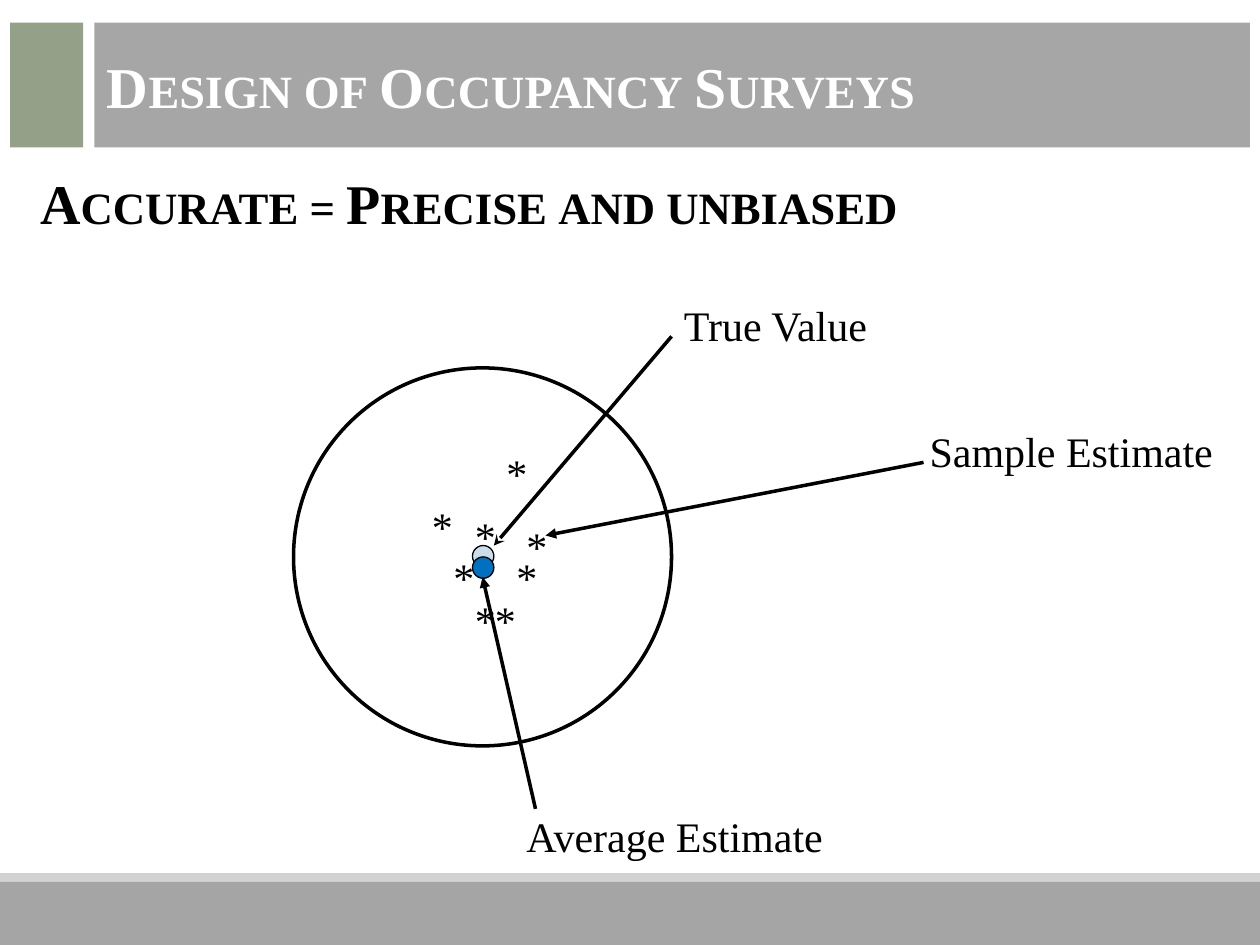
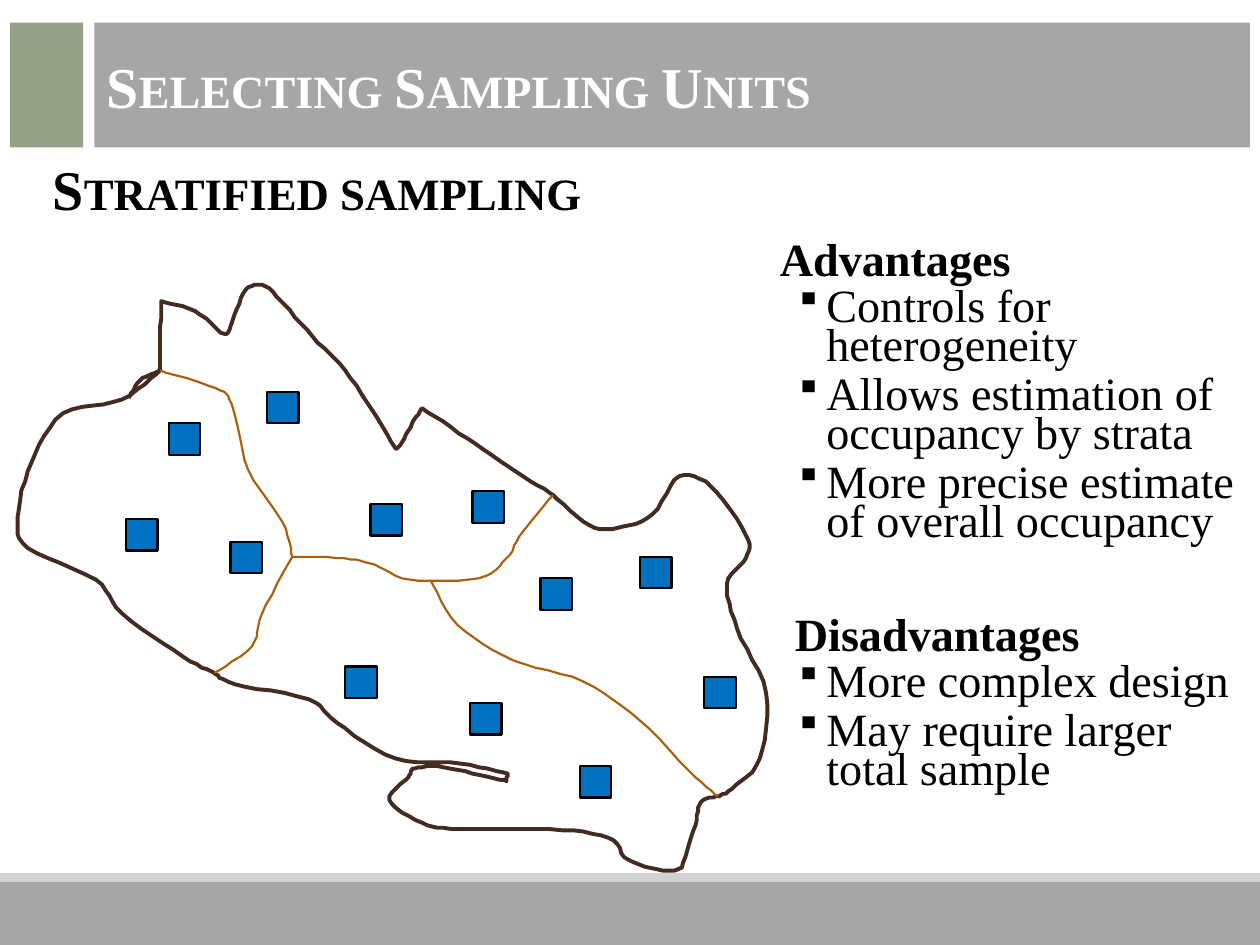
from lxml import etree
from pptx import Presentation
from pptx.dml.color import RGBColor
from pptx.enum.shapes import MSO_CONNECTOR, MSO_SHAPE
from pptx.enum.text import MSO_ANCHOR, PP_ALIGN
from pptx.oxml.ns import qn
from pptx.util import Pt

PX = 9144  # 100 px to the inch
RECT, OVAL = MSO_SHAPE.RECTANGLE, MSO_SHAPE.OVAL
STRAIGHT = MSO_CONNECTOR.STRAIGHT
MIDDLE, LEFT = MSO_ANCHOR.MIDDLE, PP_ALIGN.LEFT
FONT = "Times New Roman"
BLACK, WHITE, BLUE, PALE = "000000", "FFFFFF", "0070C0", "CCDDEA"
GREY, GREEN, BROWN, OCHRE = "A6A6A6", "94A088", "432B20", "A9610D"
DARK, LIGHT = "808080", "BFBFBF"
rgb = RGBColor.from_string


def draw(slide, kind, box, fill=None, line=None, width=1):
    shape = slide.shapes.add_shape(kind, *[n * PX for n in box])
    shape.shadow.inherit = False
    if fill:
        shape.fill.solid()
        shape.fill.fore_color.rgb = rgb(fill)
    else:
        shape.fill.background()
    if line:
        shape.line.color.rgb = rgb(line)
        shape.line.width = Pt(width)
    else:
        shape.line.fill.background()
    return shape


def write(par, words, size, color=BLACK, bold=False, caps=False):
    par.text = words
    par.alignment = LEFT
    font = par.font
    font.name, font.size, font.bold = FONT, Pt(size), bold
    font.color.rgb = rgb(color)
    if caps:
        font._element.set("cap", "small")


prs = Presentation()
prs.slide_width, prs.slide_height = 1000 * PX, 750 * PX

# Bands, title and heading of both slides
heads = [
    ("Design of Occupancy Surveys", "Accurate = Precise and unbiased", (22, 129, 733, 64)),
    ("Selecting Sampling Units", "Stratified sampling", (32, 118, 447, 64)),
]
slides = []
for title, topic, box in heads:
    slide = prs.slides.add_slide(prs.slide_layouts[6])
    for top, high, color in ((700, 50, DARK), (693, 7, LIGHT)):
        foot = draw(slide, RECT, (0, top, 1000, high), color)
        tint = foot.fill._xPr.find(qn("a:solidFill"))[0]
        etree.SubElement(tint, qn("a:alpha")).set("val", "70000")
    bar = draw(slide, RECT, (75, 18, 917, 99), GREY)
    bar.text_frame.vertical_anchor = MIDDLE
    write(bar.text_frame.paragraphs[0], title, 33, WHITE, True, True)
    draw(slide, RECT, (8, 18, 58, 99), GREEN)
    frame = slide.shapes.add_textbox(*[n * PX for n in box]).text_frame
    frame.word_wrap = False
    write(frame.paragraphs[0], topic, 32, BLACK, True, True)
    slides.append(slide)
target, strata = slides

# Slide 1: target with its estimates
draw(target, OVAL, (233, 292, 300, 300), None, BLACK, 2)
draw(target, OVAL, (375, 433, 17, 17), PALE, BLACK, 0.75)

stars = [(408, 408), (392, 350), (350, 433), (333, 392),
         (367, 467), (400, 433), (383, 467), (367, 400)]
notes = [("*", x, y, 37) for x, y in stars] + [
    ("True Value", 533, 233, 233),
    ("Average Estimate", 408, 638, 353),
    ("Sample Estimate", 728, 333, 275),
]
for words, x, y, wide in notes:
    frame = target.shapes.add_textbox(x * PX, y * PX, wide * PX, 50 * PX).text_frame
    frame.word_wrap = True
    write(frame.paragraphs[0], words, 24)

draw(target, OVAL, (375, 442, 17, 17), BLUE, BLACK, 0.75)

arrows = [
    ((533, 267, 392, 433), "stealth"),
    ((425, 642, 383, 458), "triangle"),
    ((733, 367, 433, 425), "triangle"),
]
for ends, tip in arrows:
    arrow = target.shapes.add_connector(STRAIGHT, *[n * PX for n in ends])
    arrow.line.color.rgb = rgb(BLACK)
    arrow.line.width = Pt(2)
    etree.SubElement(arrow.line._get_or_add_ln(), qn("a:tailEnd")).set("type", tip)
    etree.SubElement(arrow._element.spPr, qn("a:effectLst"))

# Slide 2: places where the strata borders meet the coast or each other
west_end, south_end, north_end, east_end = (127, 294), (170, 534), (439, 393), (570, 632)
west_fork, mid_fork = (232, 442), (342, 461)

# Each stretch is a smooth curve from the end of the one before; corners lie between
west_shore = [(97, 317), (50, 328), (25, 367), (14, 410), (22, 435), (76, 460),
              (97, 487), (145, 521), south_end]
south_shore = [(186, 543), (245, 555), (268, 574), (314, 602), (365, 606), (403, 614)]
spit_tip = [(402, 620)]
spit_side = [(380, 615), (347, 608), (327, 610)]
south_bay = [(324, 617), (309, 635), (335, 653), (365, 658), (436, 658), (483, 665),
             (498, 682), (526, 691), (541, 689)]
south_cape = [(552, 655), (556, 637), east_end]
east_shore = [(581, 626), (603, 602), (608, 550), (585, 499), (577, 463), (592, 443),
              (592, 425), (564, 386), (539, 378), (518, 408), (490, 419), (468, 417),
              north_end]
north_shore = [(409, 374), (371, 348), (335, 324)]
notch = [(327, 336), (318, 353), (314, 356)]
north_cape = [(299, 331), (274, 294), (248, 267), (222, 238), (210, 227), (195, 230),
              (185, 253), (178, 265), (155, 247), (128, 239)]
north_wall = [(127, 270), west_end]
loose_end = [(111, 302), (102, 316)]
coast = [west_shore, south_shore, spit_tip, spit_side, south_bay, south_cape,
         east_shore, north_shore, notch, north_cape, north_wall, loose_end]

upper_west = [(171, 308), (184, 321), (197, 373), (224, 414), west_fork]
lower_west = [(208, 487), (200, 513), south_end]
north_rim = [(273, 443), (297, 448), (325, 460), (380, 459), (402, 443), (415, 422),
             north_end]
east_rim = [(363, 496), (407, 524), (463, 541), (508, 572), (552, 617), east_end]

STEPS = 6
borders = [
    (west_end, coast, BROWN, 2.25),
    (west_end, [upper_west, lower_west], OCHRE, 1.25),
    (west_fork, [north_rim], OCHRE, 1.25),
    (mid_fork, [east_rim], OCHRE, 1.25),
]
for start, parts, color, width in borders:
    curve = [start]
    for part in parts:
        knots = [curve[-1], curve[-1], *part, part[-1]]
        # Catmull-Rom spline: the bend from b to c leans on the neighbours a and d
        for quad in zip(knots, knots[1:], knots[2:], knots[3:]):
            for step in range(1, STEPS + 1):
                t = step / STEPS
                curve.append(tuple(
                    round(b + t / 2 * (c - a + t * (2 * a - 5 * b + 4 * c - d
                                                    + t * (3 * b - a - 3 * c + d))))
                    for a, b, c, d in zip(*quad)))
    pen = strata.shapes.build_freeform(*start, scale=PX)
    pen.add_line_segments(curve[1:], close=False)
    border = pen.convert_to_shape()
    border.shadow.inherit = False
    border.fill.background()
    border.line.color.rgb = rgb(color)
    border.line.width = Pt(width)

# Three sampling units in each stratum
units = {
    "west": [(100, 412), (134, 336), (183, 430)],
    "north": [(212, 311), (294, 400), (375, 390)],
    "south": [(274, 529), (373, 558), (460, 608)],
    "east": [(429, 459), (508, 442), (559, 537)],
}
for spots in units.values():
    for x, y in spots:
        draw(strata, RECT, (x, y, 25, 25), BLUE, BLACK, 1.25)

# Pros and cons
frame = strata.shapes.add_textbox(609 * PX, 190 * PX, 392 * PX, 480 * PX).text_frame
frame.word_wrap = True
lists = [
    ("Advantages", 0, 12, ["Controls for heterogeneity",
                           "Allows estimation of occupancy by strata",
                           "More precise estimate of overall occupancy"]),
    ("Disadvantages", 12, 39, ["More complex design",
                               "May require larger total sample"]),
]
par = frame.paragraphs[0]
for name, inset, gap, items in lists:
    for words in [name] + items:
        if par.text:
            par = frame.add_paragraph()
        top = words == name
        write(par, words, 26.4, bold=top)
        par.line_spacing = 0.7
        par.space_before, par.space_after = Pt(gap if top else 2), Pt(2 if top else 4)
        props = par._p.get_or_add_pPr()
        props.set("marL", str((inset if top else 37) * PX))
        if not top:
            props.set("indent", str(-25 * PX))
            for tag, key, value in (("a:buSzPct", "val", "80000"), ("a:buChar", "char", "▪")):
                mark = etree.Element(qn(tag))
                mark.set(key, value)
                props.find(qn("a:defRPr")).addprevious(mark)

prs.save("out.pptx")
